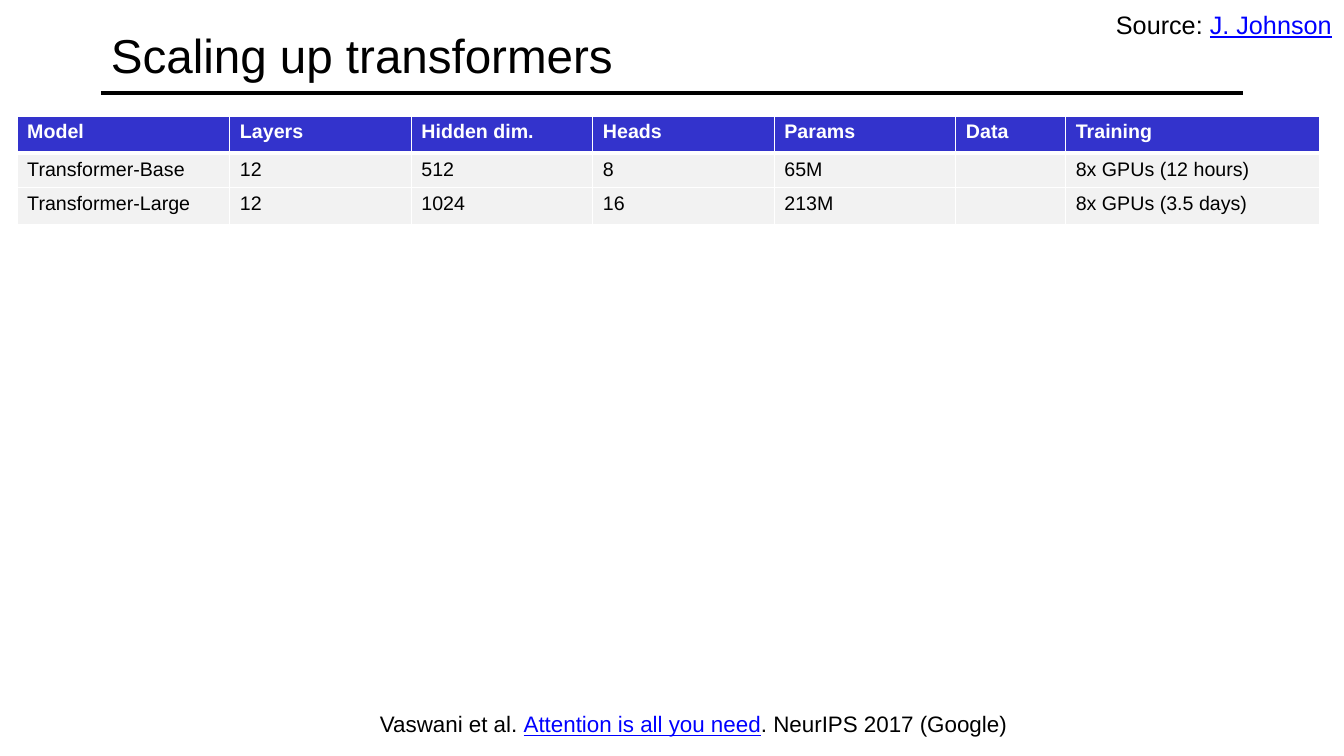
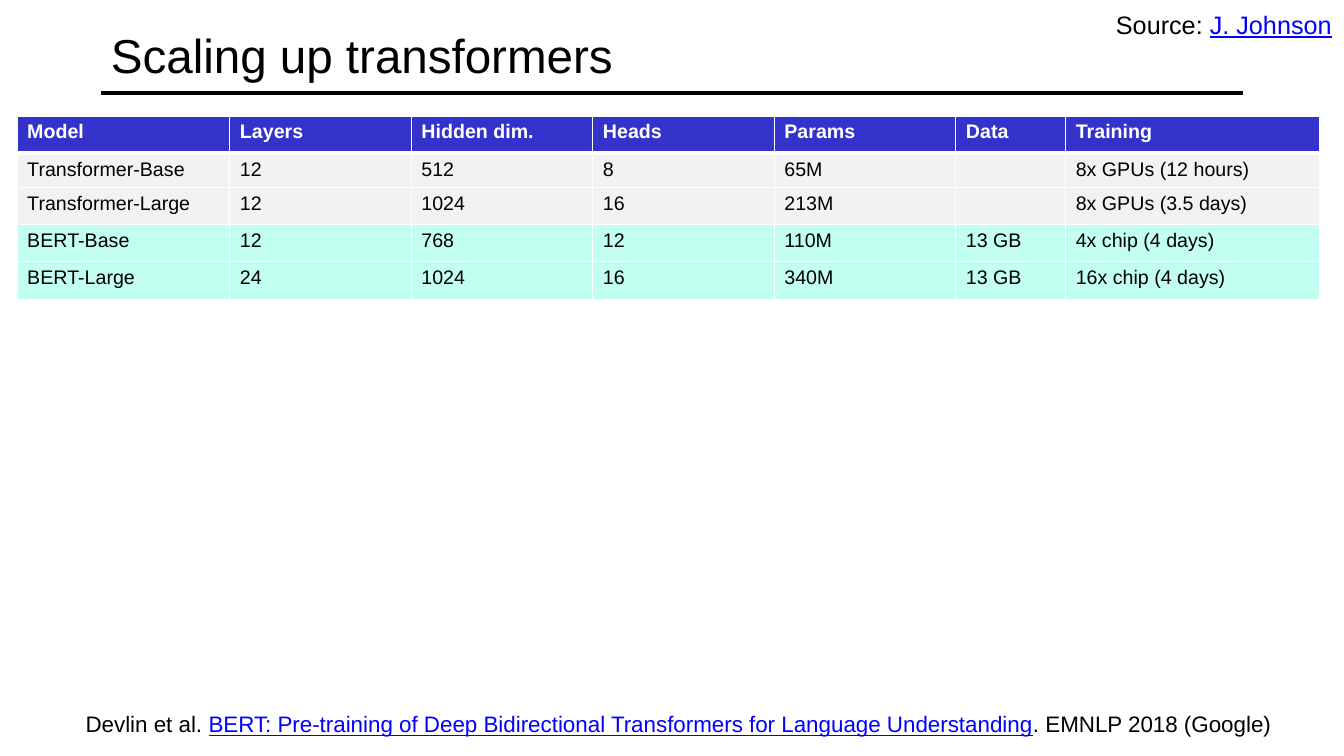
from lxml import etree
from pptx import Presentation
from pptx.dml.color import RGBColor
from pptx.enum.shapes import MSO_CONNECTOR
from pptx.enum.text import MSO_ANCHOR, MSO_AUTO_SIZE, PP_ALIGN
from pptx.oxml.ns import qn
from pptx.util import Inches, Pt

STRAIGHT = MSO_CONNECTOR.STRAIGHT
MIDDLE = MSO_ANCHOR.MIDDLE
NO_FIT = MSO_AUTO_SIZE.NONE
LEFT = PP_ALIGN.LEFT

COLORS = {
    "text": "000000",
    "link": "0000FF",
    "header": "3333CC",
    "white": "FFFFFF",
    "transformer": "F2F2F2",
    "bert": "C2FFF0",
}
FONT = "Arial"
TITLE_ONLY = 5
TITLE = "Scaling up transformers"
SOURCE = ("Source: ", "J. Johnson")
CELL_SIZE = 14
THIN, THICK = 1, 3

COLUMN_WIDTHS = [2.11, 1.8, 1.8, 1.8, 1.8, 1.09, 2.52]
ROW_HEIGHTS = [0.37, 0.33, 0.37, 0.37, 0.38]
HEADER_ROW = ("header", ["Model", "Layers", "Hidden dim.", "Heads", "Params", "Data", "Training"])
TRANSFORMER_ROWS = [
    ("transformer", ["Transformer-Base", "12", "512", "8", "65M", "", "8x GPUs (12 hours)"]),
    ("transformer", ["Transformer-Large", "12", "1024", "16", "213M", "", "8x GPUs (3.5 days)"]),
]
BERT_ROWS = [
    ("bert", ["BERT-Base", "12", "768", "12", "110M", "13 GB", "4x chip (4 days)"]),
    ("bert", ["BERT-Large", "24", "1024", "16", "340M", "13 GB", "16x chip (4 days)"]),
]

SLIDES = [
    {
        "rows": [HEADER_ROW] + TRANSFORMER_ROWS,
        "citation": ("Vaswani et al. ", "Attention is all you need", ". NeurIPS 2017 (Google)"),
        "citation_box": (3.67, 7, 6.55, 0.37),
    },
    {
        "rows": [HEADER_ROW] + TRANSFORMER_ROWS + BERT_ROWS,
        "citation": (
            "Devlin et al. ",
            "BERT: Pre-training of Deep Bidirectional Transformers for Language Understanding",
            ". EMNLP 2018 (Google)",
        ),
        "citation_box": (0.75, 7, 12.09, 0.37),
    },
]


def color(name):
    """Return the named colour of the deck."""
    return RGBColor.from_string(COLORS[name])


def add_run(para, text, size, color_name="text", bold=False, underline=False):
    """Add one formatted span of text to a paragraph."""
    span = para.add_run()
    span.text = text
    span.font.name = FONT
    span.font.size = Pt(size)
    span.font.bold = bold
    span.font.underline = underline
    span.font.color.rgb = color(color_name)


def add_title(page):
    """Place the slide title and the rule below it."""
    rule = page.shapes.add_connector(STRAIGHT, Inches(1), Inches(0.92), Inches(12.33), Inches(0.92))
    rule.line.color.rgb = color("text")
    rule.line.width = Pt(3)
    etree.SubElement(rule._element.spPr, qn("a:effectLst"))
    title = page.shapes.title
    title.left, title.top = Inches(1), Inches(0.08)
    title.width, title.height = Inches(11.33), Inches(0.92)
    frame = title.text_frame
    frame.auto_size = NO_FIT
    frame.vertical_anchor = MIDDLE
    para = frame.paragraphs[0]
    para.alignment = LEFT
    add_run(para, TITLE, 34)


def add_reference(page, parts, bounds, size, wrap=True):
    """Add a line of text whose second part looks like a link."""
    box = page.shapes.add_textbox(*map(Inches, bounds))
    frame = box.text_frame
    frame.word_wrap = wrap
    para = frame.paragraphs[0]
    for index, text in enumerate(parts):
        linked = index == 1
        add_run(para, text, size, "link" if linked else "text", underline=linked)


def add_border(cell, side, width):
    """Draw one white edge of a table cell."""
    properties = cell._tc.get_or_add_tcPr()
    edge = etree.SubElement(properties, qn("a:ln" + side), w=str(Pt(width)))
    fill = etree.SubElement(edge, qn("a:solidFill"))
    etree.SubElement(fill, qn("a:srgbClr"), val=COLORS["white"])


def fill_cell(cell, text, row_index, fill_name):
    """Write, border and fill one table cell."""
    is_header = row_index == 0
    widths = {
        "L": THIN,
        "R": THIN,
        "T": THICK if row_index == 1 else THIN,
        "B": THICK if is_header else THIN,
    }
    for side, width in widths.items():
        add_border(cell, side, width)
    cell.fill.solid()
    cell.fill.fore_color.rgb = color(fill_name)
    para = cell.text_frame.paragraphs[0]
    if text:
        add_run(para, text, CELL_SIZE, "white" if is_header else "text", bold=is_header)
    else:
        etree.SubElement(para._p, qn("a:endParaRPr"), sz=str(CELL_SIZE * 100))


def add_model_table(page, rows):
    """Add the table that compares the models."""
    heights = ROW_HEIGHTS[:len(rows)]
    table = page.shapes.add_table(
        len(rows), len(COLUMN_WIDTHS), Inches(0.17), Inches(1.15),
        Inches(sum(COLUMN_WIDTHS)), Inches(sum(heights)),
    ).table
    table.horz_banding = False
    for column, width in zip(table.columns, COLUMN_WIDTHS):
        column.width = Inches(width)
    for row_index, (fill_name, values) in enumerate(rows):
        table.rows[row_index].height = Inches(heights[row_index])
        for column_index, text in enumerate(values):
            fill_cell(table.cell(row_index, column_index), text, row_index, fill_name)


def add_page(deck, content):
    """Build one slide of the comparison."""
    page = deck.slides.add_slide(deck.slide_layouts[TITLE_ONLY])
    add_title(page)
    add_model_table(page, content["rows"])
    add_reference(page, content["citation"], content["citation_box"], 16)
    add_reference(page, SOURCE, (10.97, 0.04, 2.36, 0.4), 18, wrap=False)


def main():
    """Build and save the deck."""
    deck = Presentation()
    deck.slide_width, deck.slide_height = Inches(13.33), Inches(7.5)
    for content in SLIDES:
        add_page(deck, content)
    deck.save("out.pptx")


if __name__ == "__main__":
    main()
